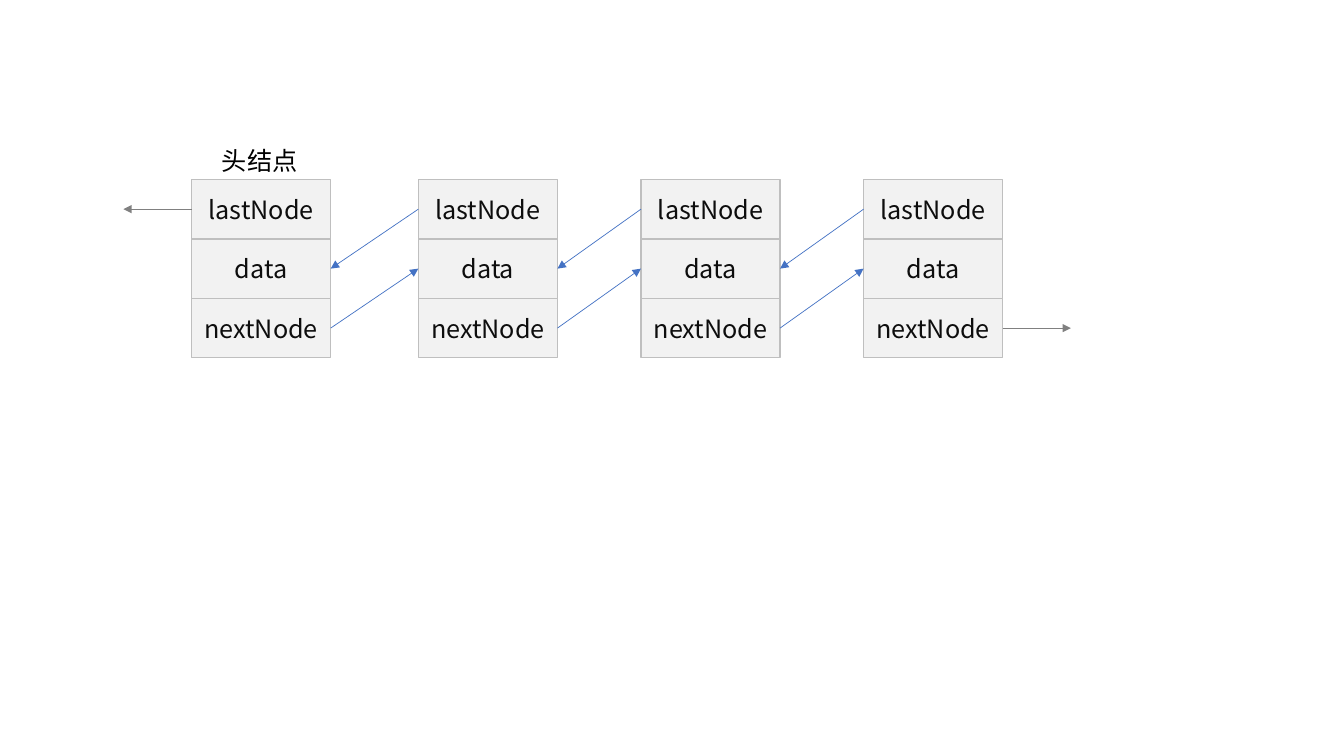
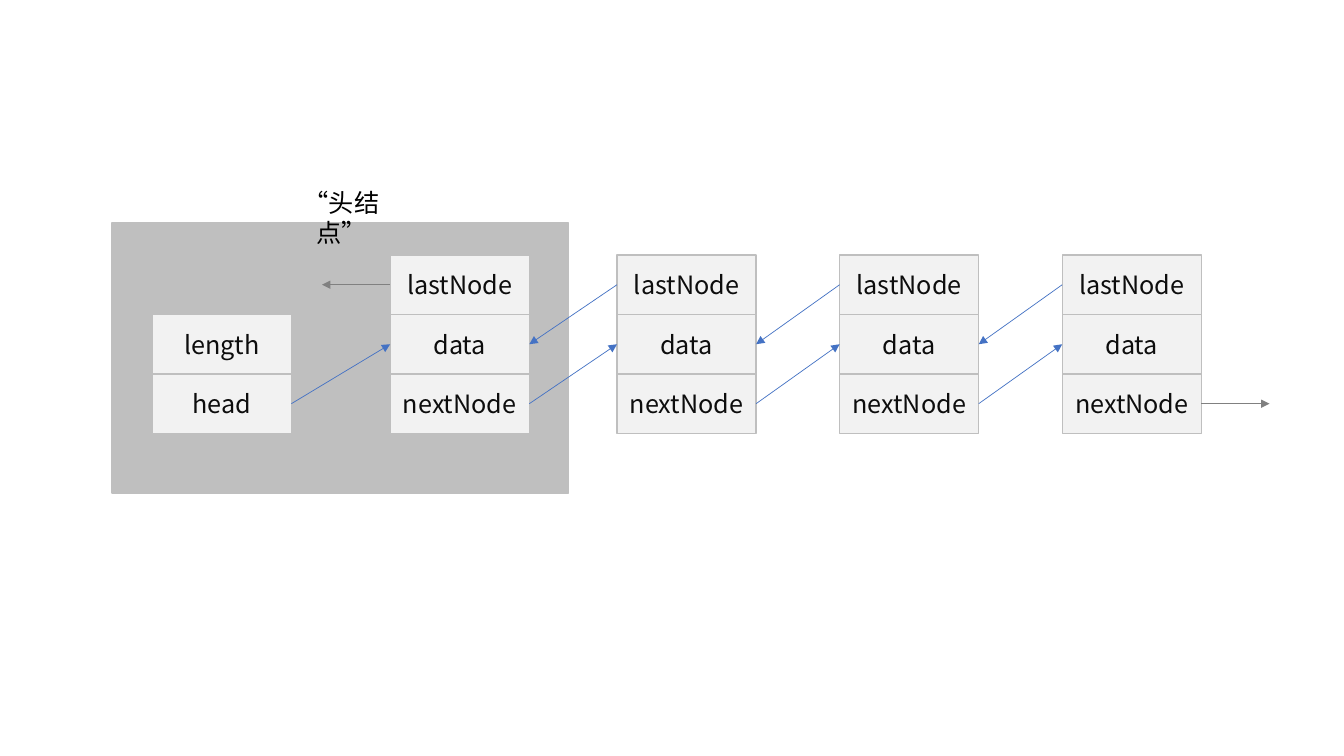
from dataclasses import dataclass

from lxml.etree import SubElement
from pptx import Presentation
from pptx.dml.color import RGBColor
from pptx.enum.lang import MSO_LANGUAGE_ID as Language
from pptx.enum.shapes import MSO_CONNECTOR as Connector, MSO_SHAPE as Preset
from pptx.enum.text import MSO_ANCHOR as Anchor, MSO_AUTO_SIZE as AutoSize, PP_ALIGN as Align
from pptx.oxml.ns import qn
from pptx.slide import Slide
from pptx.util import Inches, Pt

# Shared look
FONT = "Noto Sans CJK SC"
CELL_FILL, BORDER = "F2F2F2", "BFBFBF"
CELL_TEXT, LABEL_TEXT = "0D0D0D", "000000"
LINK, OPEN_END = "4472C4", "808080"

# Grid: one cell is one column wide and one row high, in inches
COLUMN, ROW = 1.38, 0.59
NODE_FIELDS = ("lastNode", "data", "nextNode")
NODE_COLUMNS = [0] + [1.63 + 1.6 * step for step in range(3)]
LAST_ROW, DATA_ROW, NEXT_ROW = 0.5, 1.5, 2.5
OPEN_LENGTH = 0.49


@dataclass(frozen=True)
class Grid:
    """Places columns and rows from the top left corner of the first node."""
    left: float
    top: float

    def x(self, column: float) -> int:
        return Inches(self.left + column * COLUMN)

    def y(self, row: float) -> int:
        return Inches(self.top + row * ROW)


@dataclass(frozen=True)
class Record:
    column: float
    row: float
    fields: tuple[str, ...]


@dataclass(frozen=True)
class Arrow:
    start: tuple[float, float]
    end: tuple[float, float]
    color: str = LINK


@dataclass(frozen=True)
class Label:
    text: str
    column: float
    row: float


def rgb(color: str) -> RGBColor:
    return RGBColor.from_string(color)


def style_text(text_frame, text: str, color: str) -> None:
    text_frame.text = text
    text_frame.word_wrap = True
    paragraph = text_frame.paragraphs[0]
    paragraph.alignment = Align.CENTER
    run = paragraph.runs[0]
    run.font.name = FONT
    run.font.size = Pt(18)
    run.font.color.rgb = rgb(color)
    run.font.language_id = Language.SIMPLIFIED_CHINESE
    east_asian = SubElement(run.font._element, qn("a:ea"))
    east_asian.set("typeface", FONT)


def draw_box(shapes, grid: Grid, column: float, row: float,
             columns: float, rows: float, fill: str):
    shape = shapes.add_shape(Preset.RECTANGLE, grid.x(column), grid.y(row),
                             Inches(columns * COLUMN), Inches(rows * ROW))
    shape.shadow.inherit = False
    shape.fill.solid()
    shape.fill.fore_color.rgb = rgb(fill)
    shape.line.color.rgb = rgb(BORDER)
    shape.line.width = Pt(1)
    return shape


def draw_record(slide: Slide, grid: Grid, record: Record) -> None:
    group = slide.shapes.add_group_shape()
    for index, field in enumerate(record.fields):
        cell = draw_box(group.shapes, grid, record.column, record.row + index, 1, 1, CELL_FILL)
        cell.text_frame.vertical_anchor = Anchor.MIDDLE
        style_text(cell.text_frame, field, CELL_TEXT)


def draw_arrow(slide: Slide, grid: Grid, arrow: Arrow) -> None:
    (start_column, start_row), (end_column, end_row) = arrow.start, arrow.end
    connector = slide.shapes.add_connector(
        Connector.STRAIGHT, grid.x(start_column), grid.y(start_row),
        grid.x(end_column), grid.y(end_row))
    connector.line.color.rgb = rgb(arrow.color)
    connector.line.width = Pt(0.5)
    properties = connector._element.spPr
    SubElement(properties.find(qn("a:ln")), qn("a:tailEnd")).set("type", "triangle")
    SubElement(properties, qn("a:effectLst"))


def draw_label(slide: Slide, grid: Grid, label: Label) -> None:
    box = slide.shapes.add_textbox(grid.x(label.column), grid.y(label.row),
                                   Inches(COLUMN), Inches(0.4))
    style_text(box.text_frame, label.text, LABEL_TEXT)
    box.text_frame.auto_size = AutoSize.SHAPE_TO_FIT_TEXT


def draw_linked_list(slide: Slide, grid: Grid, label: Label) -> None:
    for column in NODE_COLUMNS:
        draw_record(slide, grid, Record(column, 0, NODE_FIELDS))

    # Links both ways between neighbours, then the two open ends
    arrows = []
    for left, right in zip(NODE_COLUMNS, NODE_COLUMNS[1:]):
        arrows.append(Arrow((right, LAST_ROW), (left + 1, DATA_ROW)))
        arrows.append(Arrow((left + 1, NEXT_ROW), (right, DATA_ROW)))
    list_end = NODE_COLUMNS[-1] + 1
    arrows.append(Arrow((0, LAST_ROW), (-OPEN_LENGTH, LAST_ROW), OPEN_END))
    arrows.append(Arrow((list_end, NEXT_ROW), (list_end + OPEN_LENGTH, NEXT_ROW), OPEN_END))
    for arrow in arrows:
        draw_arrow(slide, grid, arrow)
    draw_label(slide, grid, label)


def build_plain_list(slide: Slide) -> None:
    draw_linked_list(slide, Grid(1.9, 1.78), Label("头结点", -0.01, -0.66))


def build_list_with_head(slide: Slide) -> None:
    grid = Grid(3.87, 2.53)
    head = Record(-1.71, 1, ("length", "head"))

    # Frame around the head record and the first node
    draw_box(slide.shapes, grid, -2, -0.54, 3.28, 4.54, BORDER)
    draw_linked_list(slide, grid, Label("“头结点”", -0.85, -1.22))
    draw_record(slide, grid, head)
    draw_arrow(slide, grid, Arrow((head.column + 1, NEXT_ROW), (0, DATA_ROW)))


def main() -> None:
    presentation = Presentation()
    presentation.slide_width = Inches(13.33)
    presentation.slide_height = Inches(7.5)
    blank = presentation.slide_layouts[6]
    for build in (build_plain_list, build_list_with_head):
        build(presentation.slides.add_slide(blank))
    presentation.save("out.pptx")


if __name__ == "__main__":
    main()
